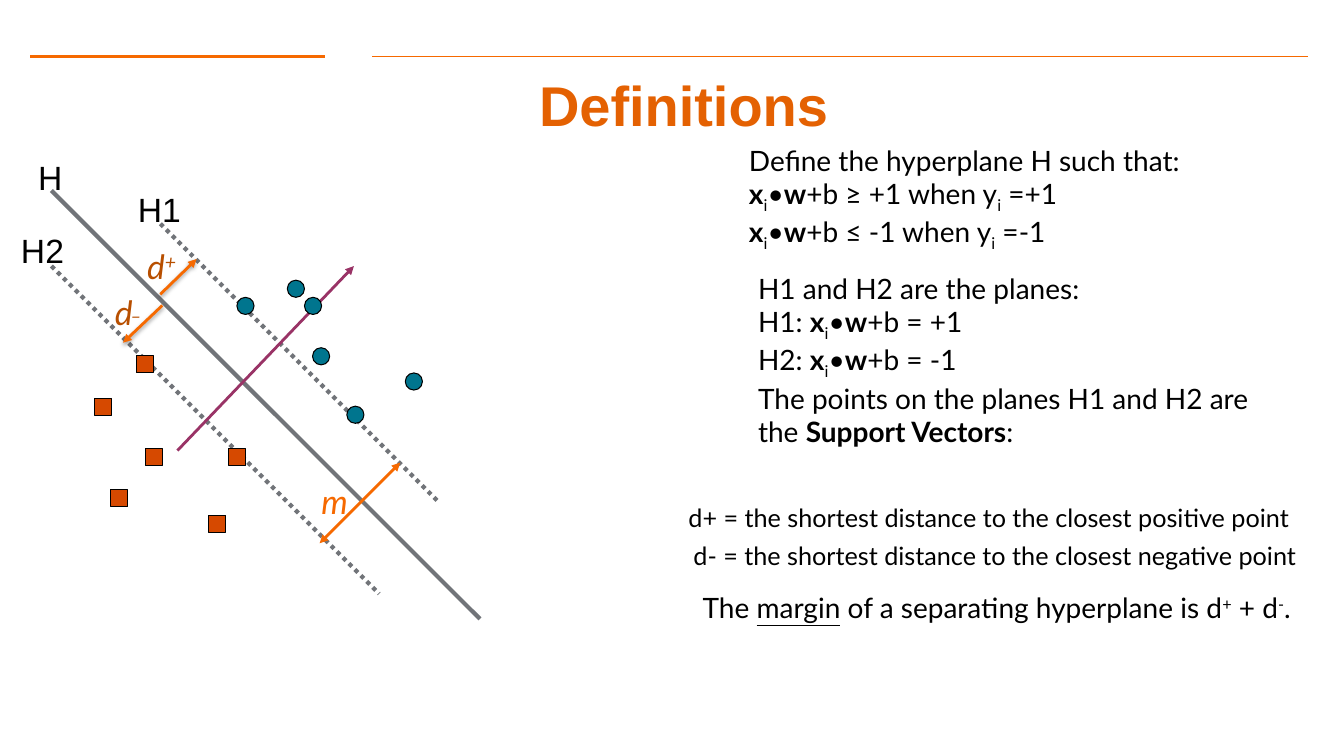
"""Build the slide defining the separating hyperplane, its margin and support vectors."""
from dataclasses import dataclass

from lxml import etree
from pptx import Presentation
from pptx.dml.color import RGBColor
from pptx.enum.dml import MSO_LINE
from pptx.enum.shapes import MSO_CONNECTOR, MSO_SHAPE
from pptx.enum.text import MSO_ANCHOR, MSO_AUTO_SIZE, PP_ALIGN
from pptx.oxml.ns import qn
from pptx.util import Inches, Pt

STRAIGHT = MSO_CONNECTOR.STRAIGHT
DOTTED = MSO_LINE.ROUND_DOT
OVAL, SQUARE = MSO_SHAPE.OVAL, MSO_SHAPE.RECTANGLE
MIDDLE, CENTER = MSO_ANCHOR.MIDDLE, PP_ALIGN.CENTER
GROW = MSO_AUTO_SIZE.SHAPE_TO_FIT_TEXT


@dataclass(frozen=True)
class Theme:
    orange: str = "F66900"
    title: str = "E46102"
    distance: str = "B84F00"
    plane: str = "717479"
    normal: str = "993366"
    positive: str = "00758E"
    negative: str = "D64900"
    black: str = "000000"
    heading_font: str = "Arial"
    body_font: str = "Lato"
    title_size: int = 40
    label_size: int = 24
    body_size: int = 20
    note_size: int = 18


theme = Theme()
prs = Presentation()
prs.slide_width, prs.slide_height = Inches(13.33), Inches(7.5)
s = prs.slides.add_slide(prs.slide_layouts[6])


def add_line(start, end, color, width, dash=None, ends=(), shadow=False):
    """Draw a straight line with optional dash, arrowheads and soft shadow."""
    sp = s.shapes.add_connector(STRAIGHT, *(Inches(v) for v in start + end))
    sp.line.color.rgb = RGBColor.from_string(color)
    sp.line.width = Pt(width)
    if dash:
        sp.line.dash_style = dash
    ln = sp.line._get_or_add_ln()
    for tag in ends:
        etree.SubElement(ln, qn(tag), type="triangle")
    effects = etree.SubElement(sp._element.spPr, qn("a:effectLst"))
    if shadow:
        outer = etree.SubElement(effects, qn("a:outerShdw"), blurRad=str(Pt(3.1)),
                                 dist=str(Pt(1.6)), dir="5400000", rotWithShape="0")
        clr = etree.SubElement(outer, qn("a:srgbClr"), val=theme.black)
        etree.SubElement(clr, qn("a:alpha"), val="38000")


def add_text(box, paragraphs, size, font=theme.body_font, color=theme.black, wrap=False):
    """Add a text box whose runs are (text, marks) pairs: b, i, u, sub _ and super ^."""
    sp = s.shapes.add_textbox(*(Inches(v) for v in box))
    tf = sp.text_frame
    tf.word_wrap = wrap
    tf.auto_size = GROW
    for n, runs in enumerate(paragraphs):
        p = tf.add_paragraph() if n else tf.paragraphs[0]
        for text, marks in runs:
            r = p.add_run()
            r.text = text
            r.font.name, r.font.size = font, Pt(size)
            r.font.color.rgb = RGBColor.from_string(color)
            r.font.bold = "b" in marks
            r.font.italic = "i" in marks
            r.font.underline = "u" in marks
            if "_" in marks or "^" in marks:
                r.font._element.set("baseline", "-25000" if "_" in marks else "30000")
    return tf


add_line((0.3, 0.56), (3.22, 0.56), theme.orange, 2)
add_line((3.69, 0.56), (12.97, 0.56), theme.orange, 1)

tf = add_text((0.78, 0.76, 12, 0.55), [[("Definitions", "b")]], theme.title_size,
              theme.heading_font, theme.title, wrap=True)
tf.auto_size = MSO_AUTO_SIZE.NONE
tf.vertical_anchor = MIDDLE
tf.margin_left = tf.margin_right = tf.margin_top = tf.margin_bottom = Inches(0.13)
tf.paragraphs[0].alignment = CENTER

product = [("x", "b"), ("i", "_"), ("•", ""), ("w", "b")]
add_text((7.33, 1.37, 4.55, 1.11), [
    [("Define the hyperplane H such that:", "")],
    *(product + [(f"+b {bound} when y", ""), ("i", "_"), (f" ={label}", "")]
      for bound, label in (("≥ +1", "+1"), ("≤ -1", "-1"))),
], theme.body_size)

for left, top, sign, kind in ((6.73, 4.93, "+", "positive"), (6.78, 5.31, "-", "negative")):
    note = f"d{sign} = the shortest distance to the closest {kind} point"
    add_text((left, top, 6.33, 0.4), [[(note, "")]], theme.note_size)

add_text((6.87, 5.81, 6.05, 0.77), [[
    ("The ", ""), ("margin", "u"), (" of a separating hyperplane is d", ""),
    ("+", "^"), (" + d", ""), ("-", "^"), (".", ""),
]], theme.body_size, wrap=True)

add_text((7.42, 2.64, 5.09, 2.12), [
    [("H1 and H2 are the planes:", "")],
    *([(f"{plane}: ", "")] + product + [(f"+b = {value}", "")]
      for plane, value in (("H1", "+1"), ("H2", "-1"))),
    [("The points on the planes H1 and H2 are the ", ""), ("Support Vectors", "b"), (":", "")],
], theme.body_size, wrap=True)

for start, end, dash in (
    ((1.59, 2.22), (4.34, 4.97), DOTTED),
    ((0.51, 2.64), (3.76, 5.89), DOTTED),
    ((0.51, 1.89), (4.76, 6.14), None),
):
    add_line(start, end, theme.plane, 3, dash)

add_line((3.97, 4.59), (3.17, 5.39), theme.orange, 2, ends=("a:headEnd", "a:tailEnd"))
add_text((3.09, 4.72, 0.48, 0.5), [[("m", "i")]], theme.label_size, color=theme.orange)
add_line((1.76, 4.47), (3.51, 2.64), theme.normal, 2, ends=("a:tailEnd",))

positives = [(3.02, 2.95), (4.02, 3.7), (3.44, 4.03), (3.1, 3.45), (2.85, 2.78), (2.35, 2.95)]
negatives = [(0.94, 3.95), (2.27, 4.45), (2.07, 5.11), (1.44, 4.45), (1.1, 4.86), (1.35, 3.53)]
for points, marker, color in (
    (positives, OVAL, theme.positive),
    (negatives, SQUARE, theme.negative),
):
    for left, top in points:
        sp = s.shapes.add_shape(marker, Inches(left), Inches(top), Inches(0.17), Inches(0.17))
        sp.shadow.inherit = False
        sp.fill.solid()
        sp.fill.fore_color.rgb = RGBColor.from_string(color)
        sp.line.color.rgb = RGBColor.from_string(theme.black)
        sp.line.width = Pt(0.75)

for name, left, top, width in (("H2", 0.11, 2.23, 0.69), ("H1", 1.27, 1.83, 0.64),
                               ("H", 0.28, 1.51, 0.69)):
    add_text((left, top, width, 0.5), [[(name, "")]], theme.label_size,
             theme.heading_font, wrap=True)

for start, end in (((1.59, 2.92), (1.95, 2.57)), ((1.61, 3.03), (1.22, 3.4))):
    add_line(start, end, theme.orange, 2, ends=("a:tailEnd",), shadow=True)

for sign, left, top, width in (("+", 1.36, 2.39, 0.55), ("_", 1.04, 2.85, 0.51)):
    add_text((left, top, width, 0.5), [[("d", "i"), (sign, "i^")]], theme.label_size,
             color=theme.distance)

prs.save("out.pptx")
